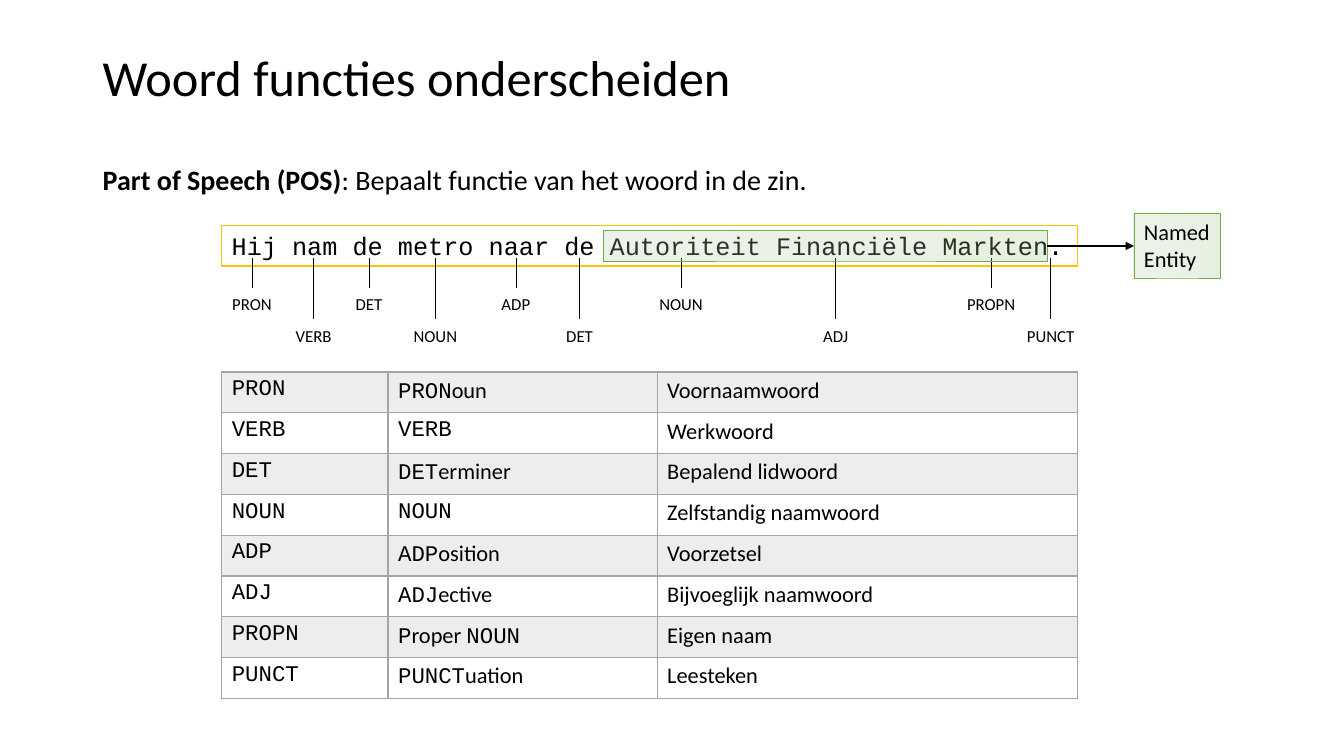
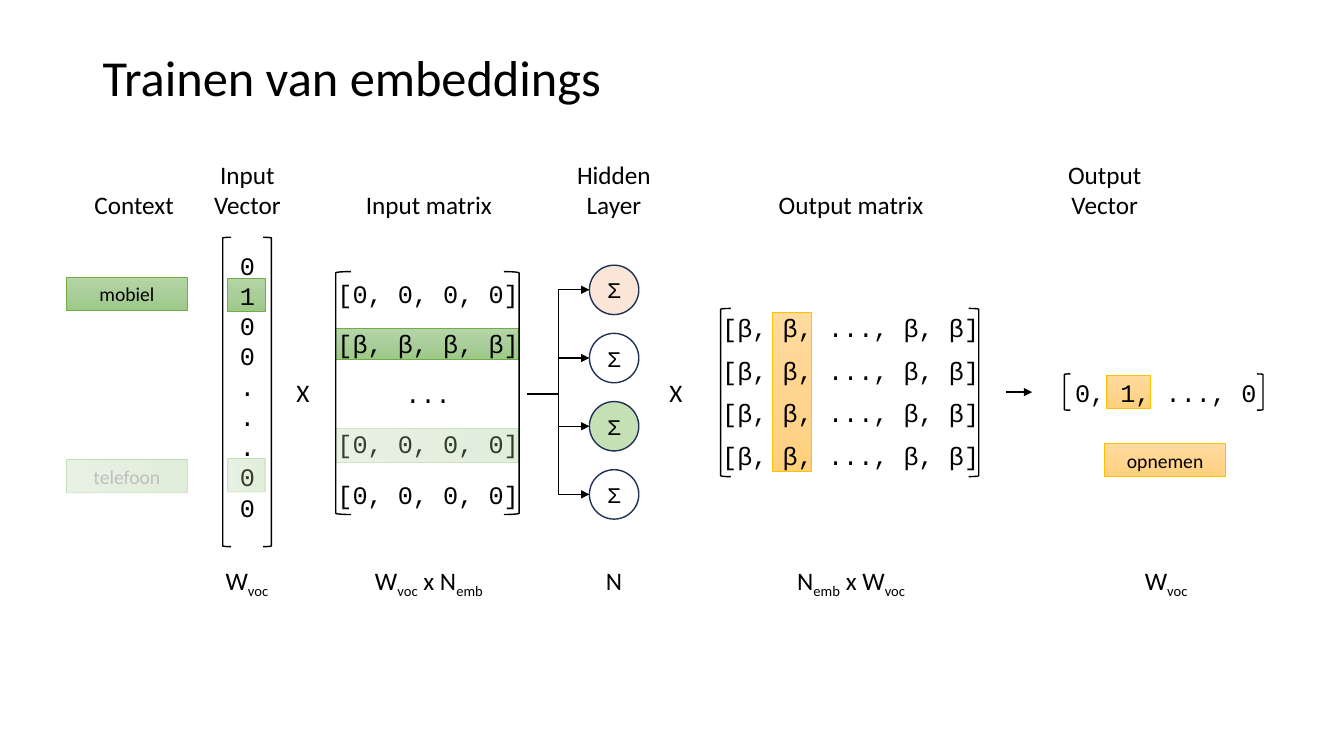
from dataclasses import dataclass
from typing import NamedTuple, Sequence

from lxml.etree import SubElement
from pptx import Presentation
from pptx.dml.color import RGBColor
from pptx.enum.shapes import MSO_CONNECTOR as Connector, MSO_SHAPE as Preset
from pptx.enum.text import MSO_ANCHOR as Anchor, MSO_AUTO_SIZE as AutoSize, PP_ALIGN as Align
from pptx.oxml.ns import qn
from pptx.util import Pt


# Theme
class Tint(NamedTuple):
    stops: tuple[str, str, str]
    outline: str


@dataclass(frozen=True)
class Theme:
    body_font: str = "Calibri"
    mono_font: str = "Courier New"
    black: str = "000000"
    white: str = "FFFFFF"
    faded_text: str = "BFBFBF"
    grid: str = "A5A5A5"
    band: str = "EDEDED"
    gold: str = "FFC000"
    navy: str = "1E3256"
    peach: str = "FBE5D6"
    mint: str = "C5E0B4"
    green_tint: Tint = Tint(("B5D5A7", "AACE9A", "9CC987"), "70AD47")
    gold_tint: Tint = Tint(("FFDB9E", "FFD590", "FFD07C"), "FFC000")
    title_size: float = 36
    lead_size: float = 20
    text_size: float = 18
    table_size: float = 16
    box_size: float = 14
    tag_size: float = 12


THEME = Theme()


class Frame(NamedTuple):
    left: float
    top: float
    width: float
    height: float


class Run(NamedTuple):
    text: str
    font: str = THEME.body_font
    bold: bool = False
    subscript: bool = False


class TextStyle(NamedTuple):
    size: float = THEME.text_size
    font: str = THEME.body_font
    color: str = THEME.black
    align: Align = Align.CENTER
    anchor: Anchor = Anchor.TOP


CAPTION = TextStyle()
CODE = TextStyle(font=THEME.mono_font)


# Text
def write_runs(paragraph, runs: Sequence[Run], size: float, color: str = THEME.black) -> None:
    for item in runs:
        run = paragraph.add_run()
        run.text = item.text
        run.font.name = item.font
        run.font.size = Pt(size)
        run.font.bold = item.bold
        run.font.color.rgb = RGBColor.from_string(color)
        if item.subscript:
            run.font._element.set("baseline", "-25000")


def write_text(text_frame, text: str, style: TextStyle, wrap: bool = False) -> None:
    text_frame.text = text
    text_frame.word_wrap = wrap
    text_frame.auto_size = AutoSize.NONE
    text_frame.vertical_anchor = style.anchor
    for paragraph in text_frame.paragraphs:
        paragraph.alignment = style.align
        for run in paragraph.runs:
            run.font.name = style.font
            run.font.size = Pt(style.size)
            run.font.color.rgb = RGBColor.from_string(style.color)


def add_text(slide, frame: Frame, text: str, style: TextStyle):
    box = slide.shapes.add_textbox(*map(Pt, frame))
    write_text(box.text_frame, text, style)
    return box


def centred(centre: float, top: float, height: float = 28.8, width: float = 120) -> Frame:
    return Frame(centre - width / 2, top, width, height)


# Shapes
def add_alpha(element, percent: int) -> None:
    for color in element.iter(qn("a:srgbClr")):
        SubElement(color, qn("a:alpha")).set("val", str(percent * 1000))


def add_shape(slide, preset: Preset, frame: Frame, fill: str | None, outline: str, width: float = 1):
    shape = slide.shapes.add_shape(preset, *map(Pt, frame))
    shape.shadow.inherit = False
    if fill:
        shape.fill.solid()
        shape.fill.fore_color.rgb = RGBColor.from_string(fill)
    else:
        shape.fill.background()
    shape.line.color.rgb = RGBColor.from_string(outline)
    shape.line.width = Pt(width)
    return shape


def add_panel(slide, frame: Frame, tint: Tint, fill_alpha: int = 100, line_alpha: int = 100):
    panel = add_shape(slide, Preset.RECTANGLE, frame, None, tint.outline, 0.5)
    panel.fill.gradient()
    panel.fill.gradient_angle = 270 if fill_alpha == 100 else 0
    properties = panel.element.spPr
    stop_list = properties.find(".//" + qn("a:gsLst"))
    for stop in list(stop_list):
        stop_list.remove(stop)
    for position, color in zip((0, 50000, 100000), tint.stops):
        stop = SubElement(stop_list, qn("a:gs"), pos=str(position))
        SubElement(stop, qn("a:srgbClr"), val=color)
    if fill_alpha < 100:
        add_alpha(stop_list, fill_alpha)
    if line_alpha < 100:
        add_alpha(properties.find(qn("a:ln")), line_alpha)
    return panel


def add_line(slide, start: tuple[float, float], end: tuple[float, float], width: float = 1,
             kind: Connector = Connector.STRAIGHT, arrow: bool = True) -> None:
    line = slide.shapes.add_connector(kind, *map(Pt, (*start, *end)))
    line.line.color.rgb = RGBColor.from_string(THEME.black)
    line.line.width = Pt(width)
    if arrow:
        SubElement(line.element.spPr.find(qn("a:ln")), qn("a:tailEnd"), type="triangle")
    SubElement(line.element.spPr, qn("a:effectLst"))


def add_brackets(slide, frame: Frame, depth: float) -> None:
    left, top, width, height = frame
    for preset, x in ((Preset.LEFT_BRACKET, left), (Preset.RIGHT_BRACKET, left + width - depth)):
        add_shape(slide, preset, Frame(x, top, depth, height), None, THEME.black)


def place(shape, frame: Frame) -> None:
    shape.left, shape.top, shape.width, shape.height = map(Pt, frame)


def add_titled_slide(presentation, layout_index: int, title: str):
    slide = presentation.slides.add_slide(presentation.slide_layouts[layout_index])
    place(slide.shapes.title, Frame(66.2, 28.8, 828, 56.9))
    style = TextStyle(THEME.title_size, align=Align.LEFT, anchor=Anchor.MIDDLE)
    write_text(slide.shapes.title.text_frame, title, style, wrap=True)
    slide.shapes.title.text_frame.paragraphs[0].line_spacing = 0.9
    return slide


# Slide 1: parts of speech
class Tag(NamedTuple):
    name: str
    centre: float


class TagRow(NamedTuple):
    name: str
    english: tuple[Run, ...]
    dutch: str


def mono(text: str) -> Run:
    return Run(text, THEME.mono_font)


TAGS = (Tag("PRON", 180), Tag("VERB", 224), Tag("DET", 263.5), Tag("NOUN", 311), Tag("ADP", 368.5),
        Tag("DET", 414), Tag("NOUN", 486.5), Tag("ADJ", 597), Tag("PROPN", 708), Tag("PUNCT", 750.5))
TAG_ROWS = (
    TagRow("PRON", (mono("PRON"), Run("oun")), "Voornaamwoord"),
    TagRow("VERB", (mono("VERB"),), "Werkwoord"),
    TagRow("DET", (mono("DET"), Run("erminer")), "Bepalend lidwoord"),
    TagRow("NOUN", (mono("NOUN"),), "Zelfstandig naamwoord"),
    TagRow("ADP", (mono("ADP"), Run("osition")), "Voorzetsel"),
    TagRow("ADJ", (mono("ADJ"), Run("ective")), "Bijvoeglijk naamwoord"),
    TagRow("PROPN", (mono("P"), Run("roper "), mono("NOUN")), "Eigen naam"),
    TagRow("PUNCT", (mono("PUNCT"), Run("uation")), "Leesteken"),
)


def set_borders(cell) -> None:
    properties = cell._tc.get_or_add_tcPr()
    for index, side in enumerate(("lnL", "lnR", "lnT", "lnB")):
        border = SubElement(properties, qn(f"a:{side}"), w=str(Pt(1)))
        fill = SubElement(border, qn("a:solidFill"))
        SubElement(fill, qn("a:srgbClr"), val=THEME.grid)
        properties.insert(index, border)


def add_tag_table(slide) -> None:
    frame = Frame(158.4, 265.7, 611.2, 233.2)
    table = slide.shapes.add_table(len(TAG_ROWS), 3, *map(Pt, frame)).table
    table.first_row = table.horz_banding = False
    for column, width in zip(table.columns, (118.8, 192.2, 300.2)):
        column.width = Pt(width)
    for row_index, entry in enumerate(TAG_ROWS):
        table.rows[row_index].height = Pt(frame.height / len(TAG_ROWS))
        cell_runs = ((mono(entry.name),), entry.english, (Run(entry.dutch),))
        for column_index, runs in enumerate(cell_runs):
            cell = table.cell(row_index, column_index)
            write_runs(cell.text_frame.paragraphs[0], runs, THEME.table_size)
            if row_index % 2 == 0:
                cell.fill.solid()
                cell.fill.fore_color.rgb = RGBColor.from_string(THEME.band)
            else:
                cell.fill.background()
            set_borders(cell)


def build_pos_slide(presentation) -> None:
    slide = add_titled_slide(presentation, 1, "Woord functies onderscheiden")

    # Lead sentence
    body = slide.placeholders[1]
    place(body, Frame(66.2, 115.2, 796.3, 41))
    body.text_frame.auto_size = AutoSize.NONE
    paragraph = body.text_frame.paragraphs[0]
    properties = paragraph._p.get_or_add_pPr()
    properties.set("marL", "0")
    properties.set("indent", "0")
    SubElement(properties, qn("a:buNone"))
    paragraph.line_spacing = 0.9
    paragraph.space_before = Pt(0)
    lead = (Run("Part of Speech (POS)", bold=True), Run(": Bepaalt functie van het woord in de zin."))
    write_runs(paragraph, lead, THEME.lead_size)

    # Example sentence with its tags on alternating levels
    sentence = add_shape(slide, Preset.RECTANGLE, Frame(158.4, 161.3, 611.2, 28.8), THEME.white, THEME.gold)
    write_text(sentence.text_frame, "Hij nam de metro naar de Autoriteit Financiële Markten.",
               CODE._replace(align=Align.LEFT))
    for index, tag in enumerate(TAGS):
        bottom = 206 + 22.2 * (index % 2)
        add_line(slide, (tag.centre, 184.3), (tag.centre, bottom), 0.5, arrow=False)
        add_text(slide, centred(tag.centre, bottom + 0.6, 21.6, 50), tag.name, TextStyle(THEME.tag_size))

    # Named entity
    add_panel(slide, Frame(431.3, 164.9, 316.8, 21.6), THEME.green_tint, fill_alpha=25)
    add_line(slide, (748.1, 175.7), (810, 175.7))
    entity = add_panel(slide, Frame(810, 152.6, 62, 46), THEME.green_tint, fill_alpha=25)
    write_text(entity.text_frame, "Named\nEntity", TextStyle(THEME.table_size, align=Align.LEFT))

    add_tag_table(slide)


# Slide 2: training embeddings
HEADINGS = (("Context", 95.8), ("Input\nVector", 176.7), ("Input matrix", 306.4),
            ("Hidden\nLayer", 438.5), ("Output matrix", 608), ("Output\nVector", 789.1))
VOC, EMB = Run("voc", subscript=True), Run("emb", subscript=True)
DIMENSIONS = (
    ((Run("W"), VOC), 176.4),
    ((Run("W"), VOC, Run(" x N"), EMB), 306.4),
    ((Run("N"),), 438.5),
    ((Run("N"), EMB, Run(" x W"), VOC), 608),
    ((Run("W"), VOC), 833),
)


def add_word(slide, left: float, top: float, word: str, tint: Tint, color: str = THEME.black,
             alpha: int = 100) -> None:
    panel = add_panel(slide, Frame(left, top, 86.4, 23.8), tint, alpha, alpha)
    write_text(panel.text_frame, word, TextStyle(THEME.box_size, color=color, anchor=Anchor.MIDDLE))


def add_rows(slide, centre: float, top: float, step: float, rows: Sequence[str], width: float) -> None:
    for index, row in enumerate(rows):
        add_text(slide, centred(centre, top + step * index, width=width), row, CODE)


def build_embedding_slide(presentation) -> None:
    slide = add_titled_slide(presentation, 5, "Trainen van embeddings")
    green, gold, faded = THEME.green_tint, THEME.gold_tint, 30

    # Headings, dimensions and multiplication signs
    for heading, centre in HEADINGS:
        add_text(slide, centred(centre, 109.4, 51), heading, CAPTION._replace(anchor=Anchor.BOTTOM))
    for runs, centre in DIMENSIONS:
        box = add_text(slide, centred(centre, 400.3), "", CAPTION)
        paragraph = box.text_frame.paragraphs[0]
        write_runs(paragraph, runs, THEME.text_size)
    for centre in (216.4, 482.8):
        add_text(slide, centred(centre, 265.7, width=24), "X", CAPTION)

    # Context words and input vector
    add_word(slide, 47.5, 198, "mobiel", green)
    add_word(slide, 47.5, 328.3, "telefoon", green, THEME.faded_text, faded)
    add_panel(slide, Frame(162.7, 198.7, 26.6, 23.8), green)
    add_text(slide, centred(176.7, 175, 203.8, 25.2), "\n".join("0100...00"), CODE)
    add_panel(slide, Frame(162.7, 327.6, 26.6, 23.8), green, faded, faded)
    add_brackets(slide, Frame(159.1, 169.5, 34.8, 221), 6)

    # Input matrix
    zeros = "[0, 0, 0, 0]"
    add_panel(slide, Frame(239.8, 234.7, 130.6, 22.3), green)
    add_rows(slide, 305.8, 195.1, 35.85, (zeros, "[β, β, β, β]", "...", zeros, zeros), 144.7)
    add_panel(slide, Frame(239.8, 306, 130.6, 24.5), green, faded, faded)
    add_brackets(slide, Frame(239.8, 194, 131, 173.5), 10.8)

    # Hidden layer
    diameter = 35.3
    for index, fill in enumerate((THEME.peach, THEME.white, THEME.mint, THEME.white)):
        top = 189.4 + 48.7 * index
        neuron = add_shape(slide, Preset.OVAL, Frame(421, top, diameter, diameter), fill, THEME.navy)
        write_text(neuron.text_frame, "Ʃ", CODE._replace(size=THEME.table_size, anchor=Anchor.MIDDLE))
        add_line(slide, (376.6, 281.5), (421, top + diameter / 2), kind=Connector.ELBOW)

    # Output matrix
    add_panel(slide, Frame(551.5, 223.2, 28.1, 113.8), gold)
    add_rows(slide, 607.7, 219.6, 30.5, ("[β, β, ..., β, β]",) * 4, 198.7)
    add_brackets(slide, Frame(514.8, 220.3, 184.3, 120.2), 7.2)
    add_line(slide, (718.6, 280.1), (737.3, 280.1))

    # Output vector
    add_panel(slide, Frame(790.6, 267.8, 31, 23.8), gold)
    add_rows(slide, 832.7, 265.7, 0, ("0, 1, ..., 0",), 144.7)
    add_brackets(slide, Frame(760.3, 267.1, 141.9, 25.9), 4.3)
    add_word(slide, 789.1, 316.8, "opnemen", gold)


def main() -> None:
    presentation = Presentation()
    presentation.slide_width, presentation.slide_height = Pt(960), Pt(540)
    build_pos_slide(presentation)
    build_embedding_slide(presentation)
    presentation.save("out.pptx")


if __name__ == "__main__":
    main()
